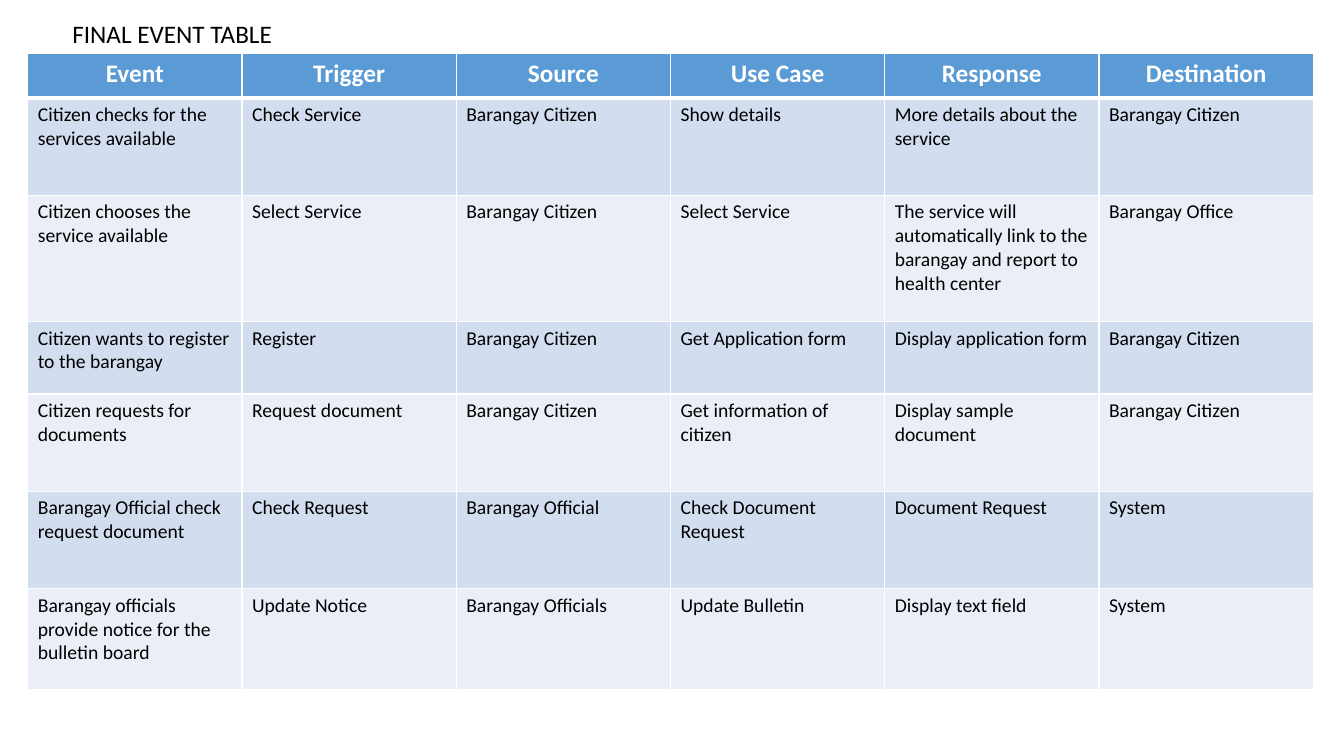
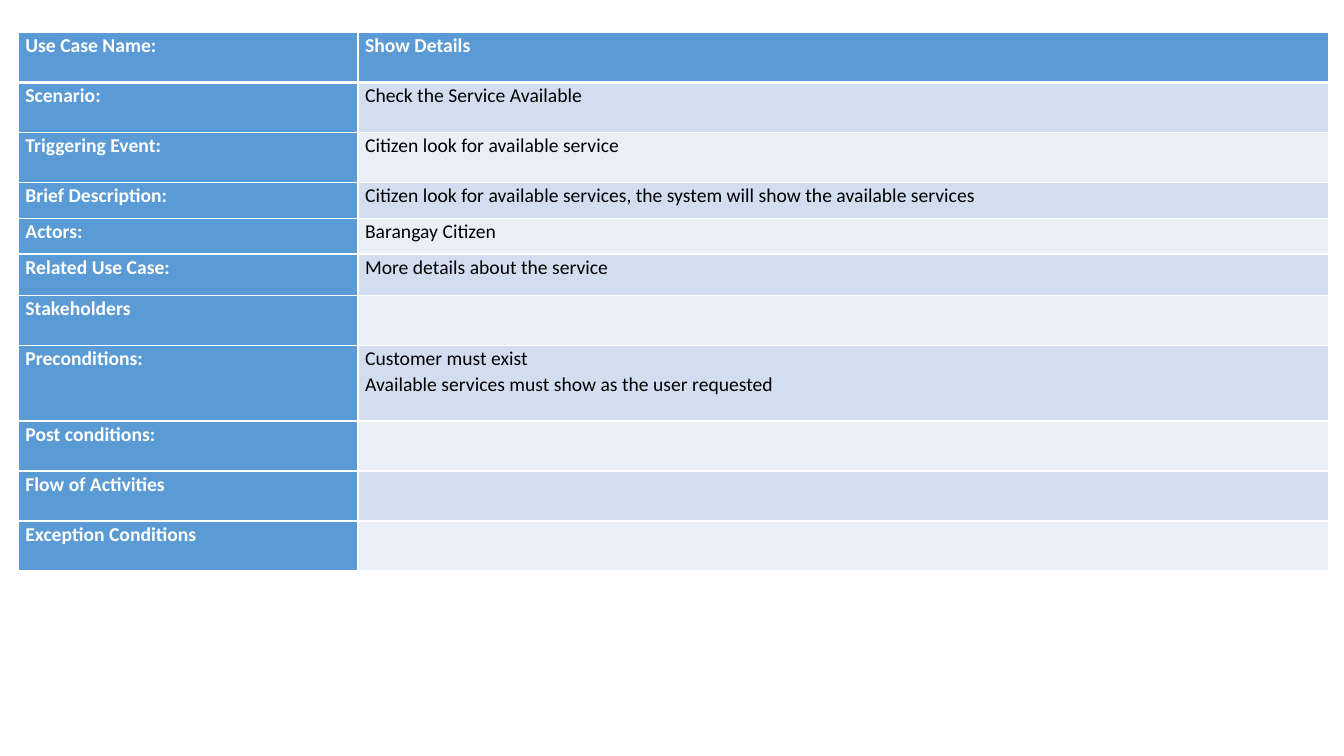
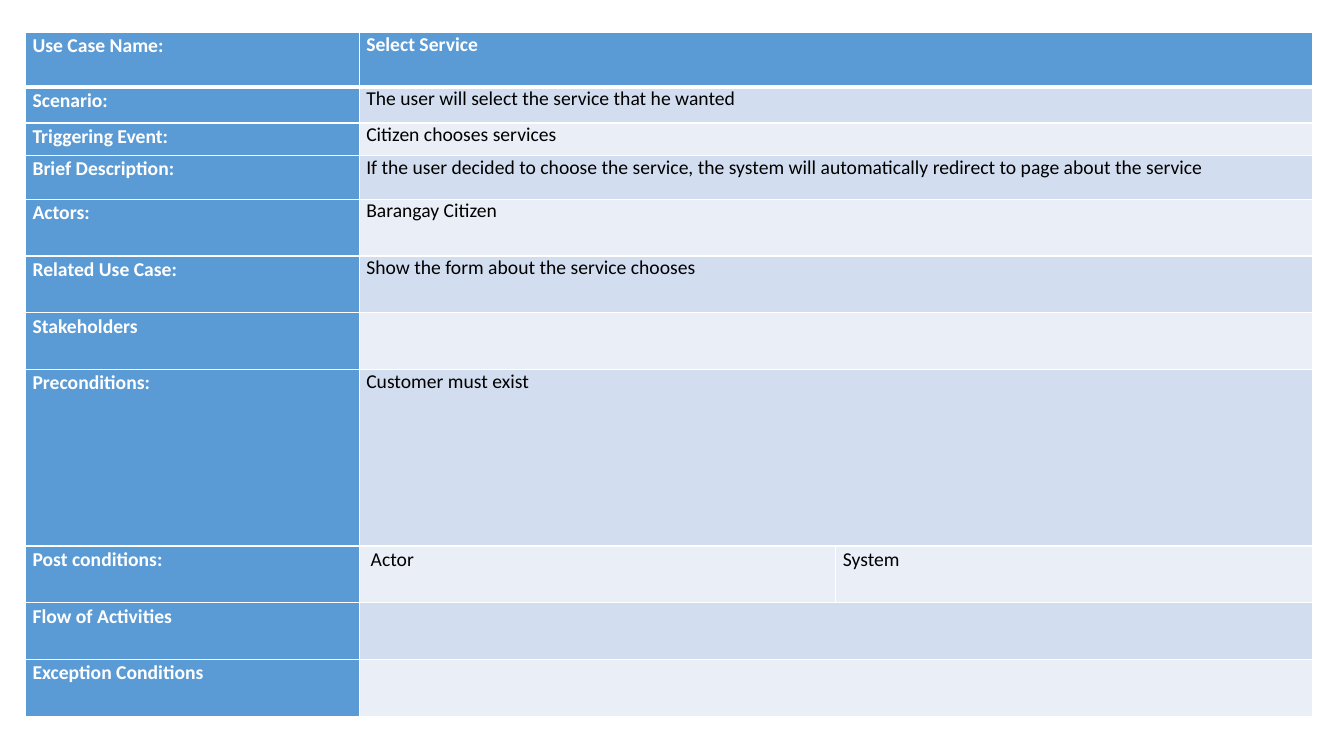
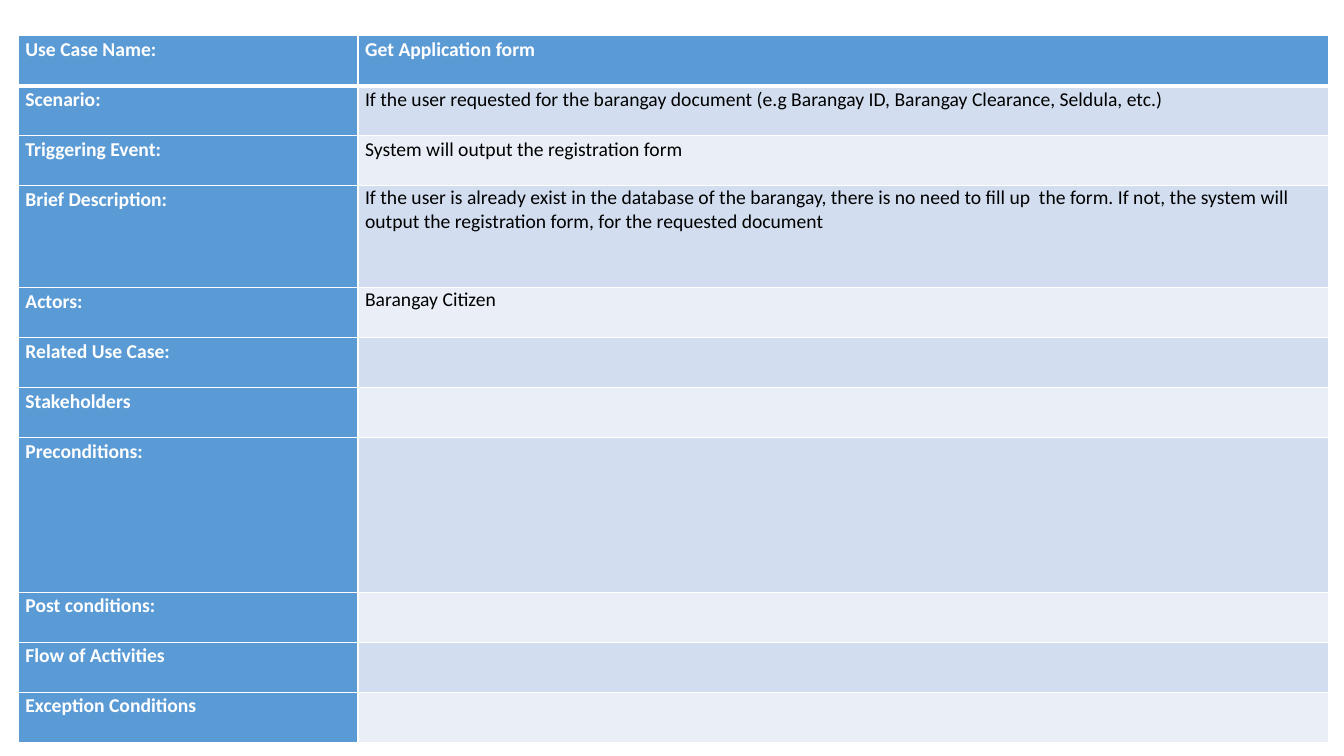
from lxml.etree import SubElement
from pptx import Presentation
from pptx.dml.color import RGBColor
from pptx.enum.text import MSO_ANCHOR, MSO_AUTO_SIZE, PP_ALIGN
from pptx.oxml.ns import qn
from pptx.util import Cm, Pt

COLORS = {
    "header": "5B9BD5",
    "band_dark": "D2DEEF",
    "band_light": "EAEFF7",
    "white": "FFFFFF",
    "black": "000000",
}
FONT = "Calibri"
LAYOUT_TITLE_ONLY, LAYOUT_BLANK = 5, 6
LABEL_SPACING = 1.07

EVENT_HEADERS = ["Event", "Trigger", "Source", "Use Case", "Response", "Destination"]
EVENTS = [
    ["Citizen checks for the services available", "Check Service", "Barangay Citizen",
     "Show details", "More details about the service", "Barangay Citizen"],
    ["Citizen chooses the service available", "Select Service", "Barangay Citizen",
     "Select Service",
     "The service will automatically link to the barangay and report to health center",
     "Barangay Office"],
    ["Citizen wants to register to the barangay", "Register", "Barangay Citizen",
     "Get Application form", "Display application form", "Barangay Citizen"],
    ["Citizen requests for documents", "Request document", "Barangay Citizen",
     "Get information of citizen", "Display sample document", "Barangay Citizen"],
    ["Barangay Official check request document", "Check Request", "Barangay Official",
     "Check Document Request", "Document Request", "System"],
    ["Barangay officials provide notice for the bulletin board", "Update Notice",
     "Barangay Officials", "Update Bulletin", "Display text field", "System"],
]
EVENT_ROW_HEIGHTS = [1.12, 2.45, 3.18, 1.83, 2.45, 2.45, 2.54]

USE_CASE_LABELS = [
    "Use Case Name:", "Scenario:", "Triggering Event:", "Brief Description:", "Actors:",
    "Related Use Case:", "Stakeholders", "Preconditions:", "Post conditions:",
    "Flow of Activities", "Exception Conditions",
]

# Each use case: box (left, top), column widths and row heights in cm, values by label;
# a list of values fills separate columns
USE_CASES = [
    {
        "box": (0.46, 0.82),
        "columns": [8.56, 24.46],
        "rows": [1.26, 1.26, 1.26, 0.91, 0.89, 1.04, 1.26, 1.91, 1.26, 1.26, 1.26],
        "values": {
            "Use Case Name:": "Show Details",
            "Scenario:": "Check the Service Available",
            "Triggering Event:": "Citizen look for available service",
            "Brief Description:": "Citizen look for available services, "
                                  "the system will show the available services",
            "Actors:": "Barangay Citizen",
            "Related Use Case:": "More details about the service",
            "Preconditions:": "Customer must exist\n"
                              "Available services must show as the user requested",
        },
        "single_spaced": [],
    },
    {
        "box": (0.64, 0.82),
        "columns": [8.41, 12.01, 12.01],
        "rows": [1.37, 0.91, 0.82, 1.1, 1.43, 1.43, 1.43, 4.45, 1.43, 1.43, 1.43],
        "values": {
            "Use Case Name:": "Select Service",
            "Scenario:": "The user will select the service that he wanted",
            "Triggering Event:": "Citizen chooses services",
            "Brief Description:": "If the user decided to choose the service, the system will "
                                  "automatically redirect to page about the service",
            "Actors:": "Barangay Citizen",
            "Related Use Case:": "Show the form about the service chooses",
            "Preconditions:": "Customer must exist",
            "Post conditions:": ["\u00a0Actor", "System"],
        },
        "single_spaced": USE_CASE_LABELS[:8],
    },
    {
        "box": (0.46, 0.9),
        "columns": [8.56, 24.46],
        "rows": [1.26, 1.26, 1.26, 2.57, 1.26, 1.26, 1.26, 3.89, 1.26, 1.26, 1.26],
        "values": {
            "Use Case Name:": "Get Application form",
            "Scenario:": "If the user requested for the barangay document "
                         "(e.g Barangay ID, Barangay Clearance, Seldula, etc.)",
            "Triggering Event:": "System will output the registration form",
            "Brief Description:": "If the user is already exist in the database of the barangay, "
                                  "there is no need to fill up  the form. If not, the system will "
                                  "output the registration form, for the requested document",
            "Actors:": "Barangay Citizen",
        },
        "single_spaced": ["Brief Description:", "Actors:"],
    },
]


def rgb(name):
    return RGBColor.from_string(COLORS[name])


def format_paragraph(paragraph, size, color, bold=False, align=PP_ALIGN.LEFT, spacing=1.0):
    paragraph.alignment = align
    paragraph.line_spacing = spacing
    font = paragraph.font
    font.name, font.size, font.bold = FONT, Pt(size), bold
    font.color.rgb = rgb(color)


def set_borders(cell, row):
    """White grid lines, with a thicker line under the first row."""
    properties = cell._tc.get_or_add_tcPr()
    widths = {"lnL": 1, "lnR": 1, "lnT": 3 if row == 1 else 1, "lnB": 3 if row == 0 else 1}
    for index, (tag, width) in enumerate(widths.items()):
        line = SubElement(properties, qn(f"a:{tag}"), w=str(Pt(width)))
        fill = SubElement(line, qn("a:solidFill"))
        SubElement(fill, qn("a:srgbClr"), val=COLORS["white"])
        properties.insert(index, line)


def fill_cell(cell, row, text, size, heading=False, **paragraph_style):
    band = "band_dark" if row % 2 else "band_light"
    cell.fill.solid()
    cell.fill.fore_color.rgb = rgb("header" if heading else band)
    set_borders(cell, row)
    cell.text = text
    for paragraph in cell.text_frame.paragraphs:
        format_paragraph(paragraph, size, "white" if heading else "black",
                         heading, **paragraph_style)


def add_grid(slide, left, top, columns, rows):
    """Add a table with the given column widths and row heights in cm."""
    table = slide.shapes.add_table(len(rows), len(columns), Cm(left), Cm(top),
                                   Cm(sum(columns)), Cm(sum(rows))).table
    table.first_row = table.horz_banding = False
    for column, width in zip(table.columns, columns):
        column.width = Cm(width)
    for row, height in zip(table.rows, rows):
        row.height = Cm(height)
    return table


def add_title(slide, text, left, top, width, height):
    title = slide.shapes.title
    title.left, title.top, title.width, title.height = map(Cm, (left, top, width, height))
    frame = title.text_frame
    frame.text = text
    frame.auto_size = MSO_AUTO_SIZE.NONE
    frame.vertical_anchor = MSO_ANCHOR.TOP
    format_paragraph(frame.paragraphs[0], 18, "black")


def add_event_table(slide, left, top, width):
    count = len(EVENT_HEADERS)
    table = add_grid(slide, left, top, [width / count] * count, EVENT_ROW_HEIGHTS)
    for row, texts in enumerate([EVENT_HEADERS] + EVENTS):
        for column, text in enumerate(texts):
            if row == 0:
                fill_cell(table.cell(row, column), row, text, 18, True, align=PP_ALIGN.CENTER)
            else:
                fill_cell(table.cell(row, column), row, text, 14)


def add_use_case_table(slide, use_case):
    columns = use_case["columns"]
    table = add_grid(slide, *use_case["box"], columns, use_case["rows"])
    for row, label in enumerate(USE_CASE_LABELS):
        value = use_case["values"].get(label, "")
        split = isinstance(value, list)
        values = value if split else [value] + [""] * (len(columns) - 2)
        spacing = 1.0 if label in use_case["single_spaced"] else LABEL_SPACING
        for column, text in enumerate([label] + values):
            cell = table.cell(row, column)
            fill_cell(cell, row, text, 14, row == 0 or column == 0,
                      spacing=spacing if column else LABEL_SPACING)
            cell.margin_left = cell.margin_right = Cm(0.18)
            cell.margin_top = cell.margin_bottom = 0
        # One value spans all the value columns
        if len(columns) > 2 and not split:
            table.cell(row, 1).merge(table.cell(row, len(columns) - 1))


presentation = Presentation()
presentation.slide_width, presentation.slide_height = Cm(33.87), Cm(19.05)

# Event table
event_slide = presentation.slides.add_slide(presentation.slide_layouts[LAYOUT_TITLE_ONLY])
add_event_table(event_slide, 0.7, 1.35, 32.4)
add_title(event_slide, "FINAL EVENT TABLE", 1.57, 0.33, 7.24, 1.02)

# Use case descriptions
for use_case in USE_CASES:
    slide = presentation.slides.add_slide(presentation.slide_layouts[LAYOUT_BLANK])
    add_use_case_table(slide, use_case)

presentation.save("out.pptx")
